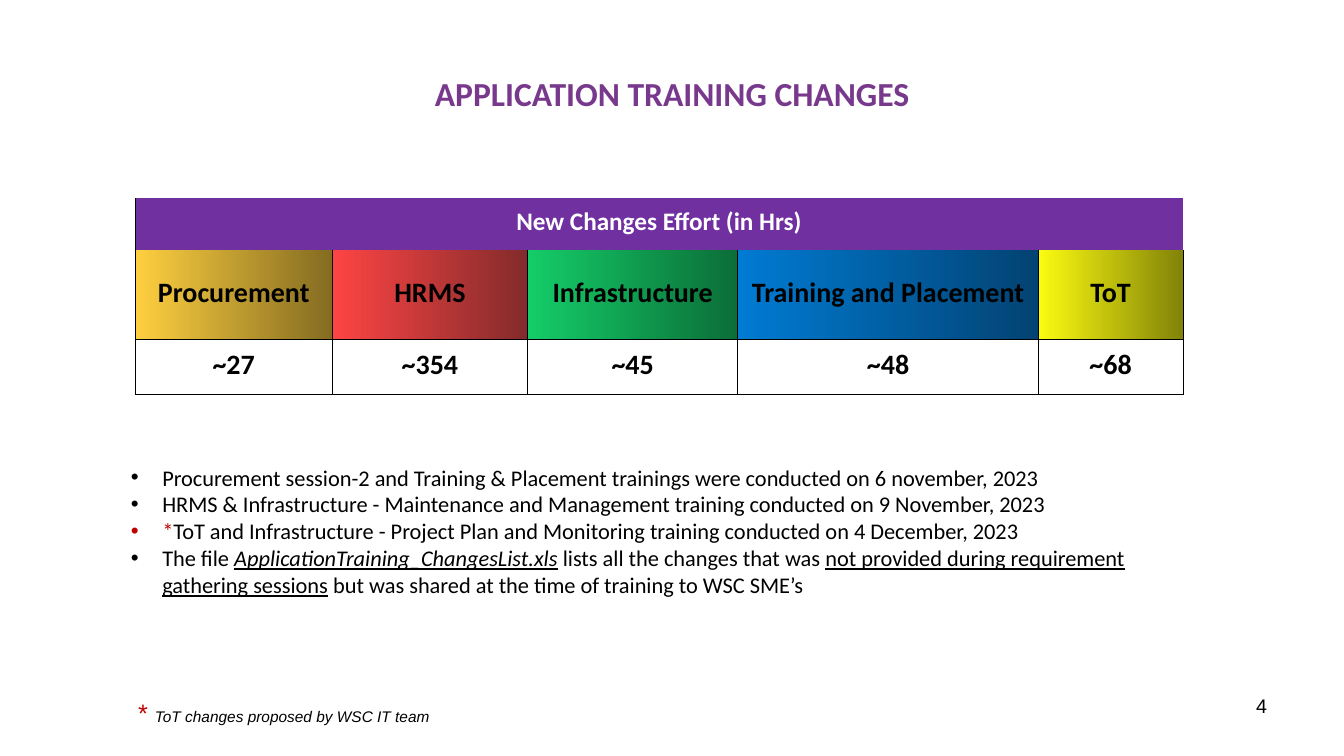
from lxml import etree
from pptx import Presentation
from pptx.dml.color import RGBColor
from pptx.enum import text
from pptx.oxml.ns import qn
from pptx.util import Cm, Pt

BLACK = RGBColor(0x00, 0x00, 0x00)
WHITE = RGBColor(0xFF, 0xFF, 0xFF)
RED = RGBColor(0xC0, 0x00, 0x00)
PLUM = RGBColor(0x78, 0x39, 0x8D)
PURPLE = RGBColor(0x70, 0x30, 0xA0)

# Content
TITLE = "APPLICATION TRAINING CHANGES"
EFFORT_HEADING = "New Changes Effort (in Hrs)"
# module, hours, column width in cm, gradient start and end
MODULES = [
    ("Procurement", "~27", 4.96, RGBColor(0xFE, 0xCF, 0x40), RGBColor(0x84, 0x6C, 0x21)),
    ("HRMS", "~354", 4.93, RGBColor(0xFE, 0x44, 0x44), RGBColor(0x83, 0x2B, 0x2B)),
    ("Infrastructure", "~45", 5.29, RGBColor(0x14, 0xCD, 0x68), RGBColor(0x0B, 0x6E, 0x38)),
    ("Training and Placement", "~48", 7.58, RGBColor(0x00, 0x7B, 0xD3), RGBColor(0x03, 0x43, 0x73)),
    ("ToT", "~68", 3.64, RGBColor(0xFB, 0xFB, 0x11), RGBColor(0x83, 0x83, 0x09)),
]
ROW_HEIGHTS = (1.3, 2.26, 1.4)
# each note is a list of (wording, style) runs
NOTES = [
    [("Procurement session-2 and Training & Placement trainings were conducted on 6 november, 2023", "")],
    [("HRMS & Infrastructure - Maintenance and Management training conducted on 9 November, 2023", "")],
    [("*", "red"),
     ("ToT and Infrastructure - Project Plan and Monitoring training conducted on 4 December, 2023", "")],
    [("The file ", ""), ("ApplicationTraining_ChangesList.xls", "italic underline"),
     (" lists all the changes that was ", ""),
     ("not provided during requirement gathering sessions", "underline"),
     (" but was shared at the time of training to WSC SME’s", "")],
]
FOOTNOTE_MARK, FOOTNOTE = "* ", "ToT changes proposed by WSC IT team"
PAGE = "4"


def set_font(font, size, color, name="Calibri", bold=None, italic=None):
    font.name, font.size, font.bold, font.italic = name, Pt(size), bold, italic
    font.color.rgb = color


def add_text(left, top, width, height):
    frame = slide.shapes.add_textbox(Cm(left), Cm(top), Cm(width), Cm(height)).text_frame
    frame.word_wrap = True
    return frame


def set_borders(cell, sides):
    props = cell._tc.get_or_add_tcPr()
    for side in "LRTB":
        line = etree.SubElement(props, qn(f"a:ln{side}"), w=str(Pt(0.5)))
        if side in sides:
            paint = etree.SubElement(line, qn("a:solidFill"))
            etree.SubElement(paint, qn("a:srgbClr"), val=str(BLACK))
        else:
            etree.SubElement(line, qn("a:noFill"))


def fill_cell(cell, wording, size, color, sides):
    set_borders(cell, sides)
    cell.margin_left = cell.margin_right = cell.margin_top = Cm(0.03)
    cell.margin_bottom = Cm(0.13)
    cell.vertical_anchor = text.MSO_ANCHOR.MIDDLE
    paragraph = cell.text_frame.paragraphs[0]
    paragraph.text = wording
    paragraph.alignment = text.PP_ALIGN.CENTER
    set_font(paragraph.font, size, color, bold=True)


def add_bullet(paragraph, color):
    props = paragraph._p.get_or_add_pPr()
    props.set("marL", str(Cm(0.79)))
    props.set("indent", str(-Cm(0.79)))
    paint = etree.SubElement(props, qn("a:buClr"))
    etree.SubElement(paint, qn("a:srgbClr"), val=str(color))
    etree.SubElement(props, qn("a:buFont"), typeface="Arial")
    etree.SubElement(props, qn("a:buChar"), char="•")


deck = Presentation()
deck.slide_width, deck.slide_height = Cm(33.87), Cm(19.05)
slide = deck.slides.add_slide(deck.slide_layouts[5])

# Title
title = slide.shapes.title
title.left, title.top, title.width, title.height = Cm(1.7), Cm(0.76), Cm(30.48), Cm(3.18)
title.text_frame.vertical_anchor = text.MSO_ANCHOR.MIDDLE
heading = title.text_frame.paragraphs[0]
heading.text = TITLE
heading.alignment = text.PP_ALIGN.CENTER
set_font(heading.font, 24, PLUM, bold=True)

# Effort table
table_width = sum(module[2] for module in MODULES)
effort = slide.shapes.add_table(
    len(ROW_HEIGHTS), len(MODULES), Cm(3.41), Cm(4.99), Cm(table_width), Cm(sum(ROW_HEIGHTS))
).table
for row, height in zip(effort.rows, ROW_HEIGHTS):
    row.height = Cm(height)

banner = effort.cell(0, 0)
banner.merge(effort.cell(0, len(MODULES) - 1))
fill_cell(banner, EFFORT_HEADING, 18, WHITE, "L")
banner.fill.solid()
banner.fill.fore_color.rgb = PURPLE

for col, (module, hours, width, start, end) in enumerate(MODULES):
    effort.columns[col].width = Cm(width)
    module_cell, hours_cell = effort.cell(1, col), effort.cell(2, col)
    fill_cell(module_cell, module, 20, BLACK, "LRB")
    module_cell.fill.gradient()
    module_cell.fill.gradient_angle = 0
    for stop, color in zip(module_cell.fill.gradient_stops, (start, end)):
        stop.color.rgb = color
    fill_cell(hours_cell, hours, 20, BLACK, "LRTB")
    hours_cell.fill.background()

# Training notes
notes = add_text(3.05, 11.56, 27.79, 4.19)
for index, note in enumerate(NOTES):
    paragraph = notes.add_paragraph() if index else notes.paragraphs[0]
    add_bullet(paragraph, RED if note[0][1] == "red" else BLACK)
    set_font(paragraph.font, 16, BLACK)
    for wording, style in note:
        run = paragraph.add_run()
        run.text = wording
        if "red" in style:
            run.font.color.rgb = RED
        if "italic" in style:
            run.font.italic = True
        if "underline" in style:
            run.font.underline = True

# Footnote
footnote = add_text(3.23, 17.45, 26.34, 1.02).paragraphs[0]
for wording, size, color, italic in ((FOOTNOTE_MARK, 18, RED, None), (FOOTNOTE, 11, BLACK, True)):
    run = footnote.add_run()
    run.text = wording
    set_font(run.font, size, color, "Arial", italic=italic)

# Page number
page = add_text(24.28, 17.35, 7.9, 1.32).paragraphs[0]
page.text = PAGE
page.alignment = text.PP_ALIGN.RIGHT
set_font(page.font, 14, BLACK, "Arial")

deck.save("out.pptx")
